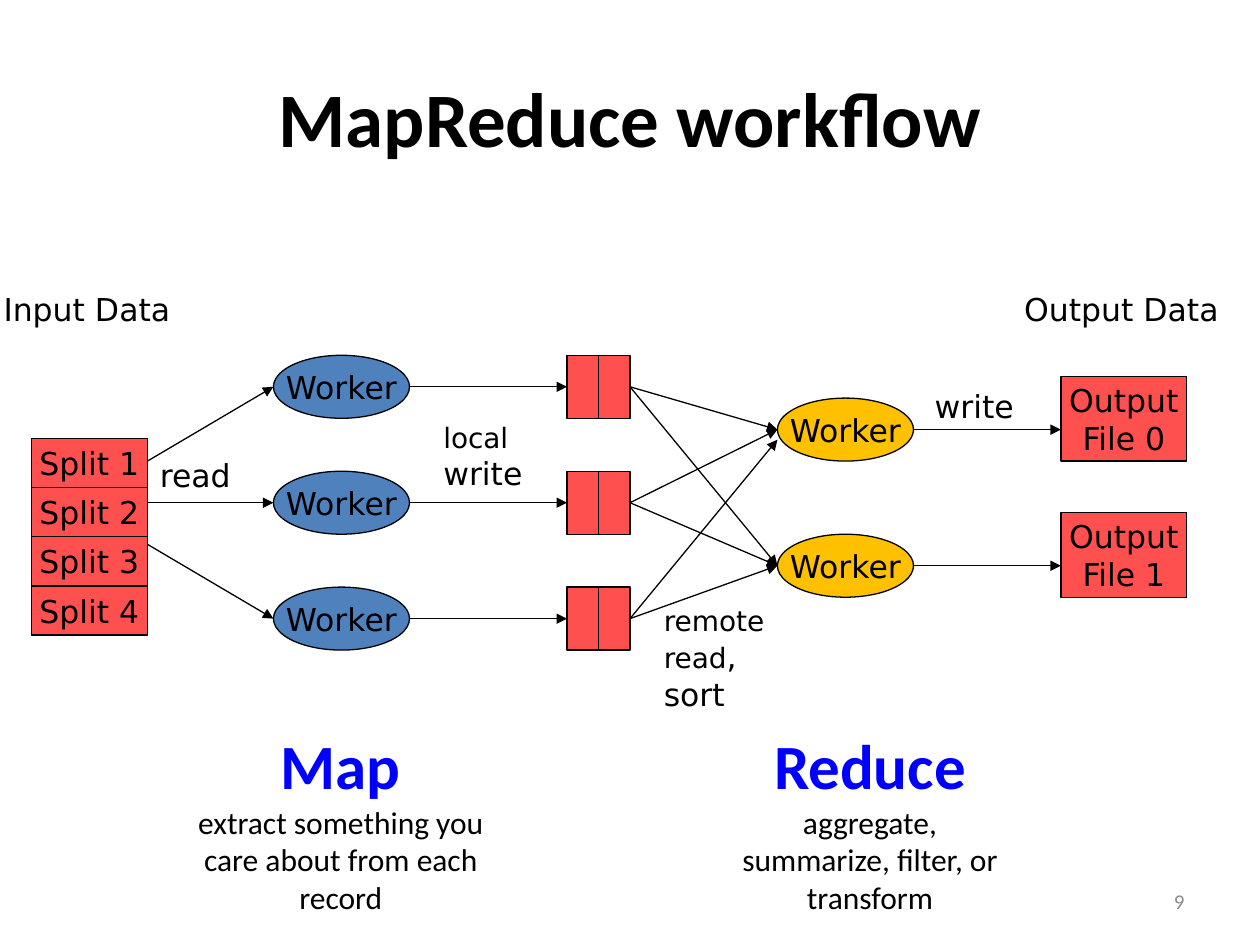
from dataclasses import dataclass

from lxml import etree
from pptx import Presentation
from pptx.dml.color import RGBColor
from pptx.enum import shapes, text
from pptx.oxml import ns
from pptx.util import Inches, Pt


@dataclass(frozen=True)
class Theme:
    ink: str = "000000"
    accent: str = "0000FF"
    muted: str = "8C8C8C"
    data: str = "FF5050"
    mapper: str = "4F81BD"
    reducer: str = "FFC000"
    heading_font: str = "Calibri"
    label_font: str = "DejaVu Sans"
    title: int = 44
    phase: int = 36
    gap: int = 24
    body: int = 18
    small: int = 16
    footer: int = 12
    line: float = 0.75


class WorkflowSlide:
    def __init__(self, slide, theme):
        self.slide = slide
        self.theme = theme

    def style(self, run, size, font, color, bold=False):
        run.font.size = Pt(size)
        run.font.name = font
        run.font.color.rgb = RGBColor.from_string(color)
        run.font.bold = bold

    def outline(self, line):
        line.color.rgb = RGBColor.from_string(self.theme.ink)
        line.width = Pt(self.theme.line)

    def title(self, words, box):
        heading = self.slide.shapes.title
        heading.left, heading.top, heading.width, heading.height = map(Inches, box)
        heading.text_frame.text = words
        heading.text_frame.vertical_anchor = text.MSO_ANCHOR.MIDDLE
        line = heading.text_frame.paragraphs[0]
        line.alignment = text.PP_ALIGN.CENTER
        self.style(line.runs[0], self.theme.title, self.theme.heading_font, self.theme.ink, True)

    def text(self, box, lines, font, align="LEFT", anchor="TOP", wrap=True):
        frame = self.slide.shapes.add_textbox(*map(Inches, box)).text_frame
        frame.word_wrap = wrap
        frame.vertical_anchor = text.MSO_ANCHOR[anchor]
        for number, pieces in enumerate(lines):
            line = frame.add_paragraph() if number else frame.paragraphs[0]
            line.alignment = text.PP_ALIGN[align]
            for words, size, color, bold in pieces:
                run = line.add_run()
                run.text = words
                self.style(run, size, font, color, bold)

    def label(self, box, *lines):
        styled = [[(words, size, self.theme.ink, False) for words, size in pieces]
                  for pieces in lines]
        self.text(box, styled, self.theme.label_font, wrap=False)

    def node(self, kind, box, fill, words):
        node = self.slide.shapes.add_shape(kind, *map(Inches, box))
        node.shadow.inherit = False
        node.fill.solid()
        node.fill.fore_color.rgb = RGBColor.from_string(fill)
        self.outline(node.line)
        frame = node.text_frame
        frame.word_wrap = False
        frame.vertical_anchor = text.MSO_ANCHOR.MIDDLE
        frame.text = words
        for line in frame.paragraphs:
            line.alignment = text.PP_ALIGN.CENTER
            for run in line.runs:
                self.style(run, self.theme.body, self.theme.label_font, self.theme.ink)
        return node

    def rectangle(self, box, fill, words=""):
        return self.node(shapes.MSO_SHAPE.RECTANGLE, box, fill, words)

    def worker(self, box, fill):
        return self.node(shapes.MSO_SHAPE.OVAL, box, fill, "Worker")

    def arrow(self, start, end, source=None, target=None):
        arrow = self.slide.shapes.add_connector(
            shapes.MSO_CONNECTOR.STRAIGHT, *map(Inches, (*start, *end)))
        if source is not None:
            arrow.begin_connect(source, 3)
        if target is not None:
            arrow.end_connect(target, 1)
        self.outline(arrow.line)
        properties = arrow._element.spPr
        etree.SubElement(properties.find(ns.qn("a:ln")), ns.qn("a:tailEnd"), type="triangle")
        etree.SubElement(properties, ns.qn("a:effectLst"))


def main():
    deck = Presentation()
    deck.slide_width, deck.slide_height = Inches(10), Inches(7.5)
    theme = Theme()
    page = WorkflowSlide(deck.slides.add_slide(deck.slide_layouts[5]), theme)
    body, small = theme.body, theme.small

    page.title("MapReduce workflow", (0.5, 0.3, 9, 1.25))
    page.text((7.17, 6.95, 2.33, 0.4), [[("9", theme.footer, theme.muted, False)]],
              theme.heading_font, "RIGHT", "MIDDLE")

    split_left, split_top, split_width, split_height = 0.25, 3.48, 0.92, 0.39
    split_right = split_left + split_width
    read_top, read_step = 3.66, 0.33
    worker_width, row_height = 1.08, 0.5
    map_left, reduce_left = 2.17, 6.17
    map_right, reduce_right = map_left + worker_width, reduce_left + worker_width
    buffer_left, cell_width = 4.5, 0.25
    buffer_middle, buffer_right = buffer_left + cell_width, buffer_left + 2 * cell_width
    output_left, output_top, output_width, output_height = 8.42, 2.99, 1, 0.67
    reduce_step = 1.08
    map_rows = [3.07 + 0.92 * row for row in range(3)]
    reduce_rows = [3.41 + reduce_step * row for row in range(2)]
    lowered_entry = 3.49

    for number in range(4):
        page.rectangle((split_left, split_top + split_height * number, split_width, split_height),
                       theme.data, f"Split {number + 1}")

    buffers = []
    for number, middle in enumerate(map_rows):
        top = middle - row_height / 2
        page.worker((map_left, top, worker_width, row_height), theme.mapper)
        first_cell = page.rectangle((buffer_left, top, cell_width, row_height), theme.data)
        last_cell = page.rectangle((buffer_middle, top, cell_width, row_height), theme.data)
        buffers.append((middle, last_cell))
        page.arrow((split_right, read_top + read_step * number), (map_left, middle))
        page.arrow((map_right, middle), (buffer_left, middle), target=first_cell)

    for number, middle in enumerate(reduce_rows):
        page.worker((reduce_left, middle - row_height / 2, worker_width, row_height),
                    theme.reducer)
        page.rectangle((output_left, output_top + reduce_step * number,
                        output_width, output_height), theme.data, f"Output\nFile {number}")
        page.arrow((reduce_right, middle), (output_left, middle))
        for buffer_row, last_cell in buffers:
            steepest_rise = number == 0 and buffer_row == map_rows[-1]
            entry = lowered_entry if steepest_rise else middle
            page.arrow((buffer_right, buffer_row), (reduce_left, entry), source=last_cell)

    for words, box in (("Input Data", (-0.07, 2.25, 1.56, 0.4)),
                       ("Output Data", (8.03, 2.25, 1.76, 0.4)),
                       ("read", (1.17, 3.57, 0.76, 0.4)),
                       ("write", (7.32, 3.02, 0.83, 0.4))):
        page.label(box, [(words, body)])
    page.label((3.42, 3.29, 0.84, 0.67), [("local", small)], [("write", body)])
    page.label((5.17, 4.74, 1.01, 0.98),
               [("remote", small)], [("read", small), (",", body)], [("sort", body)])

    map_name = ("Map", theme.phase, theme.accent, True)
    map_role = ("extract something you care about from each record", body, theme.ink, False)
    reduce_name = ("Reduce", theme.phase, theme.accent, True)
    reduce_gap = (" ", theme.gap, theme.ink, False)
    reduce_role = ("aggregate, summarize, filter, or transform", body, theme.ink, False)
    phase_top, phase_height = 5.72, 1.62
    for left, width, lines in ((1.37, 2.67, [[map_name], [map_role]]),
                               (5.72, 2.37, [[reduce_name, reduce_gap, reduce_role]])):
        page.text((left, phase_top, width, phase_height), lines, theme.heading_font, "CENTER")

    deck.save("out.pptx")


if __name__ == "__main__":
    main()
